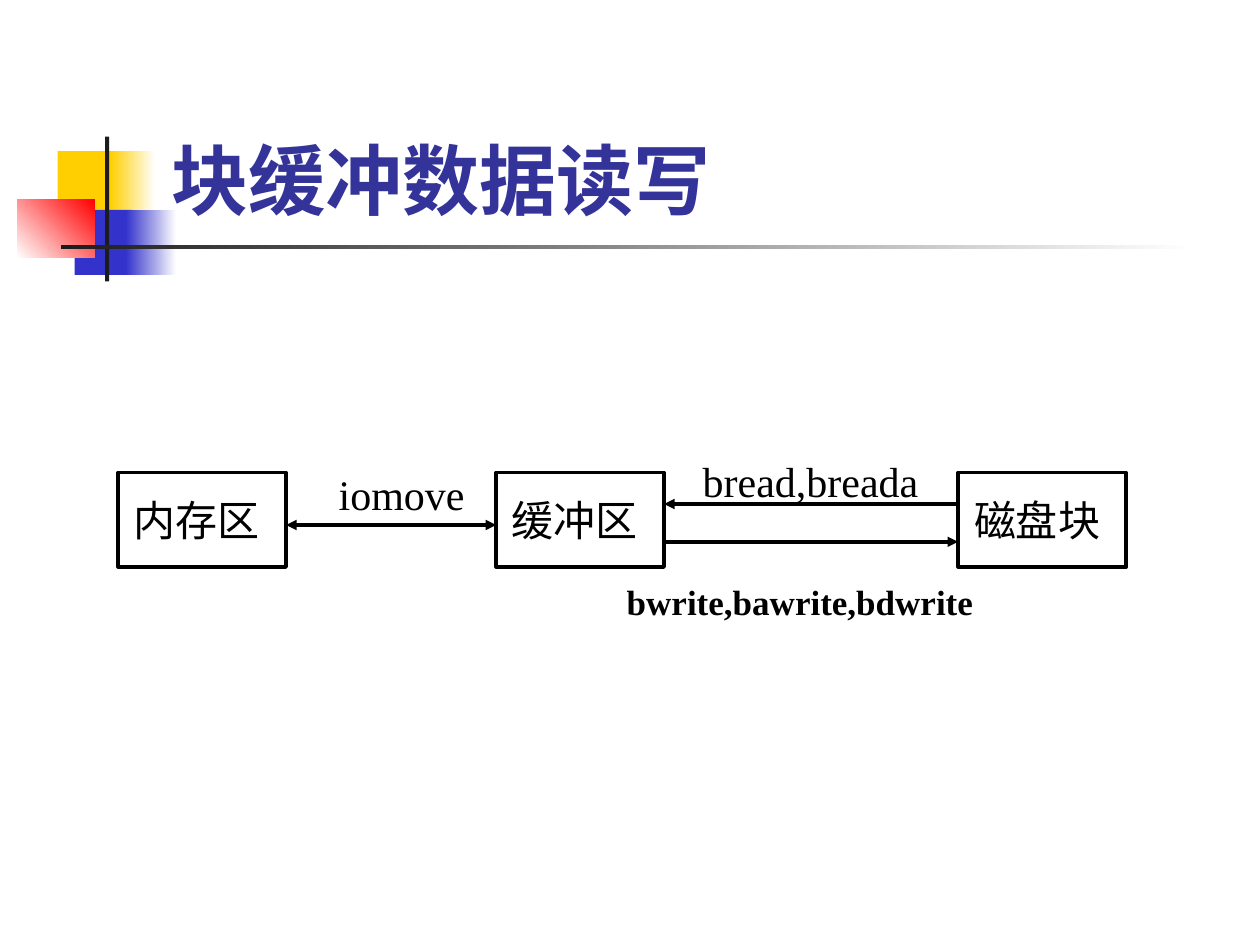
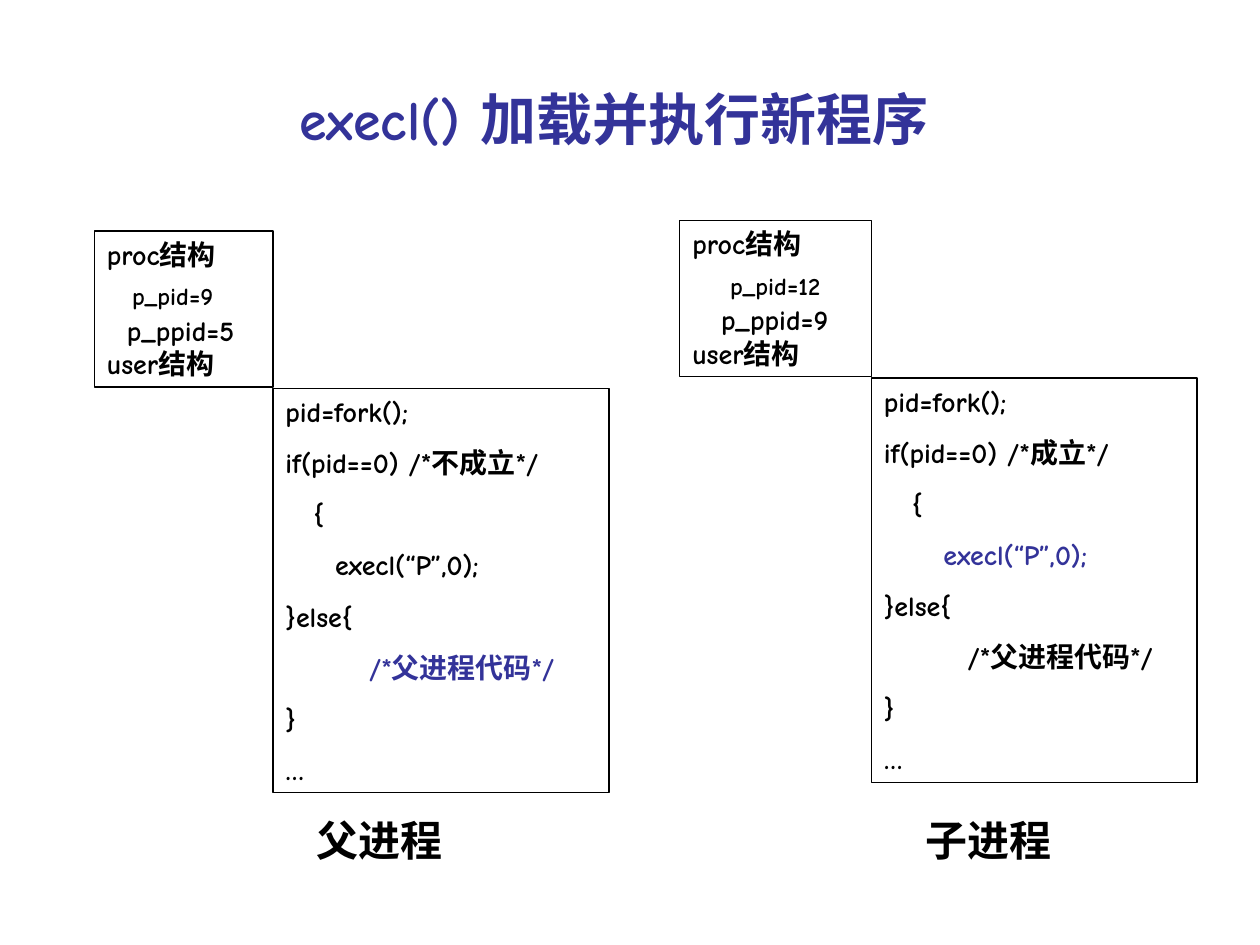
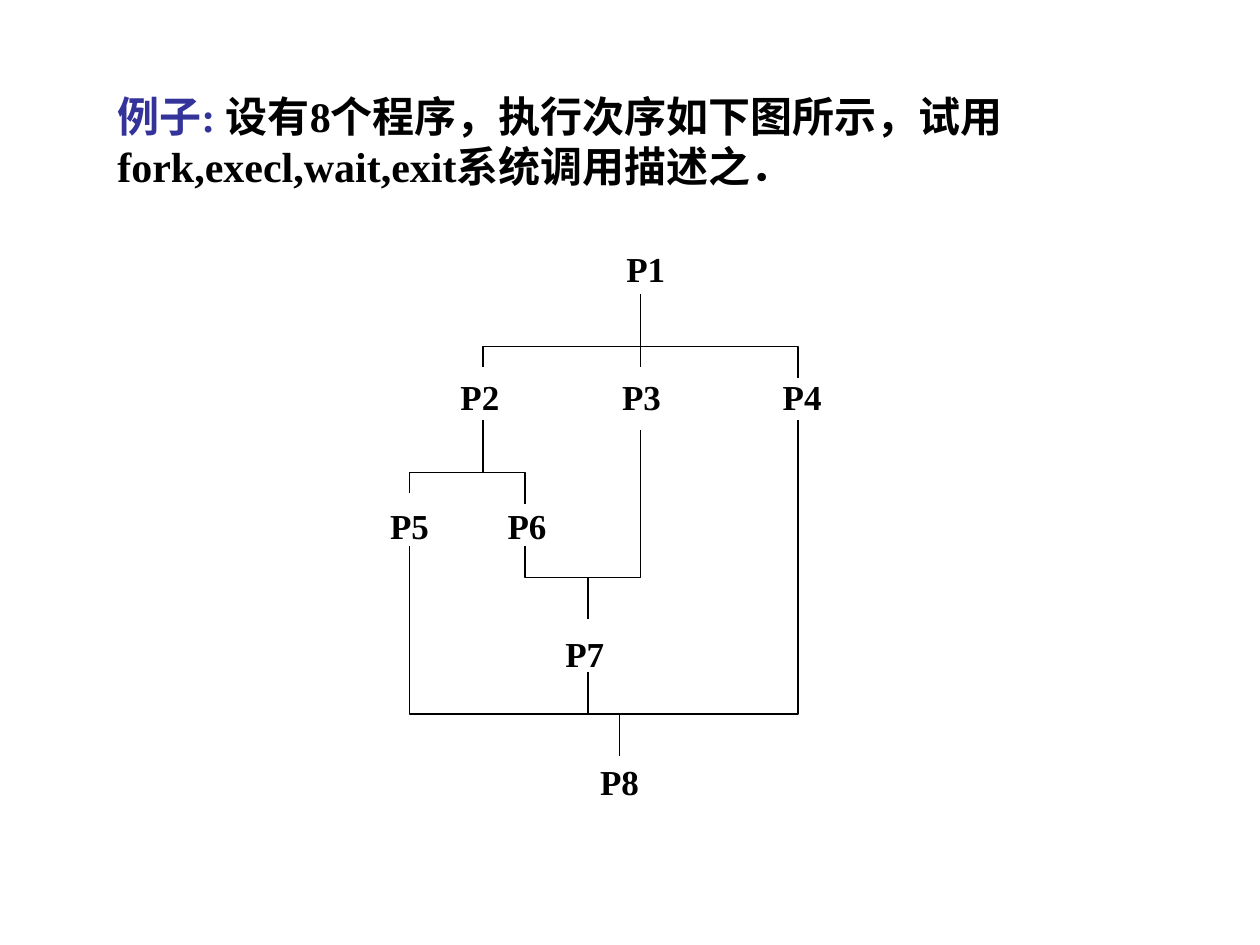
from lxml import etree
from pptx import Presentation, util as u
from pptx.dml.color import RGBColor
from pptx.enum import shapes, text
from pptx.oxml.ns import qn

CELL = u.Inches(1) // 12  # the slide is a grid of 120 columns by 90 rows
COLORS = {
    "ink": "000000", "paper": "FFFFFF", "title": "333399", "yellow": "FFCF01",
    "blue": "3333CC", "red": "FF0000", "rule": "1C1C1C",
}
CJK, SERIF, COMIC = "Noto Sans CJK SC", "Times New Roman", "Comic Neue"
LEFT, CENTER = text.PP_ALIGN.LEFT, text.PP_ALIGN.CENTER
TOP, MIDDLE, BOTTOM = (text.MSO_ANCHOR.TOP, text.MSO_ANCHOR.MIDDLE,
                       text.MSO_ANCHOR.BOTTOM)


def rgb(name):
    return RGBColor.from_string(COLORS[name])


def cells(*values):
    return [u.Emu(round(value * CELL)) for value in values]


def style_run(run, size, font=SERIF, color="ink", bold=True):
    run.font.size, run.font.bold, run.font.name = u.Pt(size), bold, font
    run.font.color.rgb = rgb(color)
    east_asian = etree.Element(qn("a:ea"), typeface=CJK)
    run.font._element.find(qn("a:latin")).addnext(east_asian)


def write(paragraph, wording, size, align=LEFT, **style):
    paragraph.text = wording
    paragraph.alignment = align
    for run in paragraph.runs:
        style_run(run, size, **style)


def set_frame(frame, anchor=TOP, wrap=True):
    frame.vertical_anchor, frame.word_wrap = anchor, wrap


def add_label(slide, place, wording, size, anchor=TOP, **style):
    frame = slide.shapes.add_textbox(*cells(*place)).text_frame
    set_frame(frame, anchor)
    write(frame.paragraphs[0], wording, size, **style)
    return frame


def add_centered_label(slide, center, width, wording, size, **style):
    """Place a one-line label without side margins around its centre."""
    column, row = center
    frame = add_label(slide, (column - width / 2, row - 2, width, 4), wording,
                      size, MIDDLE, align=CENTER, **style)
    frame.margin_left = frame.margin_right = 0


def add_rect(slide, place, fill=None, outline=None):
    rect = slide.shapes.add_shape(shapes.MSO_SHAPE.RECTANGLE, *cells(*place))
    rect.shadow.inherit = False
    if fill:
        rect.fill.solid()
        rect.fill.fore_color.rgb = rgb(fill)
    else:
        rect.fill.background()
    if outline:
        rect.line.color.rgb = rgb("ink")
        rect.line.width = u.Pt(outline)
    else:
        rect.line.fill.background()
    return rect


def add_fade(slide, place, start, end, angle=0):
    fill = add_rect(slide, place).fill
    fill.gradient()
    fill.gradient_angle = angle
    for stop, name, position in zip(fill.gradient_stops, (start, end), (0, 1)):
        stop.color.rgb = rgb(name)
        stop.position = position


def add_line(slide, start, end, width=0.75, ends=()):
    """Draw a straight line; ends lists headEnd and/or tailEnd arrowheads."""
    line = slide.shapes.add_connector(
        shapes.MSO_CONNECTOR.STRAIGHT, *cells(*start, *end))
    line.line.color.rgb = rgb("ink")
    line.line.width = u.Pt(width)
    properties = line._element.spPr
    for end_name in ends:
        etree.SubElement(properties.find(qn("a:ln")), qn("a:" + end_name),
                         type="triangle")
    etree.SubElement(properties, qn("a:effectLst"))


def add_bracket(slide, first, *rest):
    builder = slide.shapes.build_freeform(*first, scale=CELL)
    builder.add_line_segments(rest, close=False)
    bracket = builder.convert_to_shape()
    bracket.shadow.inherit = False
    bracket.fill.background()
    bracket.line.color.rgb = rgb("ink")
    bracket.line.width = u.Pt(0.75)


def add_title_ornament(slide):
    add_rect(slide, (5.5, 14.4, 5.8, 6.2), "yellow")
    add_fade(slide, (10.5, 14.4, 4.3, 6.2), "yellow", "paper")
    add_rect(slide, (7.1, 20, 5.5, 6.2), "blue")
    add_fade(slide, (12, 20, 4.8, 6.2), "blue", "paper")
    add_fade(slide, (1.65, 19, 7.4, 5.55), "paper", "red", angle=45)
    add_rect(slide, (10, 13, 0.4, 13.8), "rule")
    add_fade(slide, (5.8, 23.35, 108, 0.4), "rule", "paper")


def add_store(slide, column, wording):
    box = add_rect(slide, (column, 45, 16, 9), "paper", 2)
    frame = box.text_frame
    set_frame(frame, MIDDLE, wrap=False)
    frame.margin_right = u.Inches(0.18)
    write(frame.paragraphs[0], wording, 24, CENTER, font=CJK, bold=False)


def buffer_slide(slide):
    add_title_ornament(slide)
    add_label(slide, (15.2, 2.8, 102.2, 19.2), "块缓冲数据读写", 44, BOTTOM,
              font=CJK, color="title")
    memory, buffer, disk, width = 11.25, 47.25, 91.25, 16
    for column, wording in ((memory, "内存区"), (buffer, "缓冲区"),
                            (disk, "磁盘块")):
        add_store(slide, column, wording)
    for left, right, row, ends in (
            (buffer, disk, 48, ["headEnd"]),
            (buffer, disk, 51.6, ["tailEnd"]),
            (memory, buffer, 50, ["headEnd", "tailEnd"])):
        add_line(slide, (left + width, row), (right, row), 2, ends)
    for center, label_width, calls, size, bold in (
            ((38.25, 47), 15, "iomove", 24, False),
            ((77.2, 45.8), 25, "bread,breada", 24, False),
            ((76.2, 57.3), 38, "bwrite,bawrite,bdwrite", 20, True)):
        add_centered_label(slide, center, label_width, calls, size, bold=bold)


def add_proc_box(slide, place, pid, ppid, indents):
    frame = add_rect(slide, place, outline=0.75).text_frame
    set_frame(frame)
    rows = (("proc结构", 16, 0), (f"p_pid={pid}", 14, indents[0]),
            (f"p_ppid={ppid}", 16, indents[1]), ("user结构", 16, 0))
    for index, (wording, size, indent) in enumerate(rows):
        paragraph = frame.add_paragraph() if index else frame.paragraphs[0]
        write(paragraph, wording, size, font=COMIC)
        if indent:
            paragraph._p.get_or_add_pPr().set("marL", str(u.Inches(indent)))
        if size == 14:
            paragraph.space_before, paragraph.space_after = u.Pt(6), u.Pt(1.5)


def add_code_box(slide, place, code, active):
    """Write code lines, colouring the one that this process runs."""
    frame = add_rect(slide, place, outline=0.75).text_frame
    set_frame(frame)
    for index, line in enumerate(code):
        paragraph = frame.add_paragraph() if index else frame.paragraphs[0]
        write(paragraph, line, 16, font=COMIC,
              color="title" if active in line else "ink")
        if index:
            paragraph.space_before = u.Pt(10)


def add_process(slide, corner, proc_width, code_width, proc, branch, active):
    """Proc box ends, and code box starts, at the corner."""
    column, row = corner
    condition, call_indent = branch
    code = ("pid=fork();", f"if(pid==0) /*{condition}*/", "　{",
            " " * call_indent + "execl(“P”,0);", "}else{",
            "　　　/*父进程代码*/", "}", "…")
    add_code_box(slide, (column, row, code_width, 38.5), code, active)
    add_proc_box(slide, (column - proc_width, row - 15, proc_width, 14.85),
                 *proc)


def execl_slide(slide):
    add_process(slide, (26, 37), 17, 32, (9, 5, (0.2, 0.16)),
                ("不成立", 5), "父进程代码")
    add_process(slide, (83, 36), 18.25, 31, (12, 9, (0.3, 0.23)),
                ("成立", 6), "execl")
    for column, wording in ((29, "父进程"), (87, "子进程")):
        add_label(slide, (column, 77, 15, 6), wording, 24)
    add_label(slide, (9, 7.5, 99, 7.7), "execl() 加载并执行新程序", 32,
              align=CENTER, font=COMIC, color="title")


def order_slide(slide):
    question = add_label(slide, (10, 8, 88, 10.8), "例子: ", 24, color="title")
    task = question.paragraphs[0].add_run()
    task.text = ("设有8个程序，执行次序如下图所示，试用"
                 "fork,execl,wait,exit系统调用描述之．")
    style_run(task, 24)

    levels = ({"P1": 61.5}, {"P2": 45.7, "P3": 61.1, "P4": 76.4},
              {"P5": 39, "P6": 50.2}, {"P7": 55.7}, {"P8": 59})
    for level, programs in enumerate(levels):
        for program, column in programs.items():
            add_centered_label(slide, (column, 25.6 + 12.2 * level), 8,
                               program, 20)

    for points in (((46, 35), (46, 33), (76, 33), (76, 36)),
                   ((39, 47), (39, 45), (50, 45), (50, 48)),
                   ((50, 52), (50, 55), (61, 55), (61, 41)),
                   ((39, 52), (39, 68), (76, 68), (76, 40))):
        add_bracket(slide, *points)
    for column, top, bottom in ((61, 28, 35), (46, 40, 45), (56, 55, 59),
                                (56, 64, 68), (59, 68, 72)):
        add_line(slide, (column, top), (column, bottom))


def main():
    deck = Presentation()
    deck.slide_width, deck.slide_height = cells(120, 90)
    for build in (buffer_slide, execl_slide, order_slide):
        build(deck.slides.add_slide(deck.slide_layouts[6]))
    deck.save("out.pptx")


if __name__ == "__main__":
    main()
